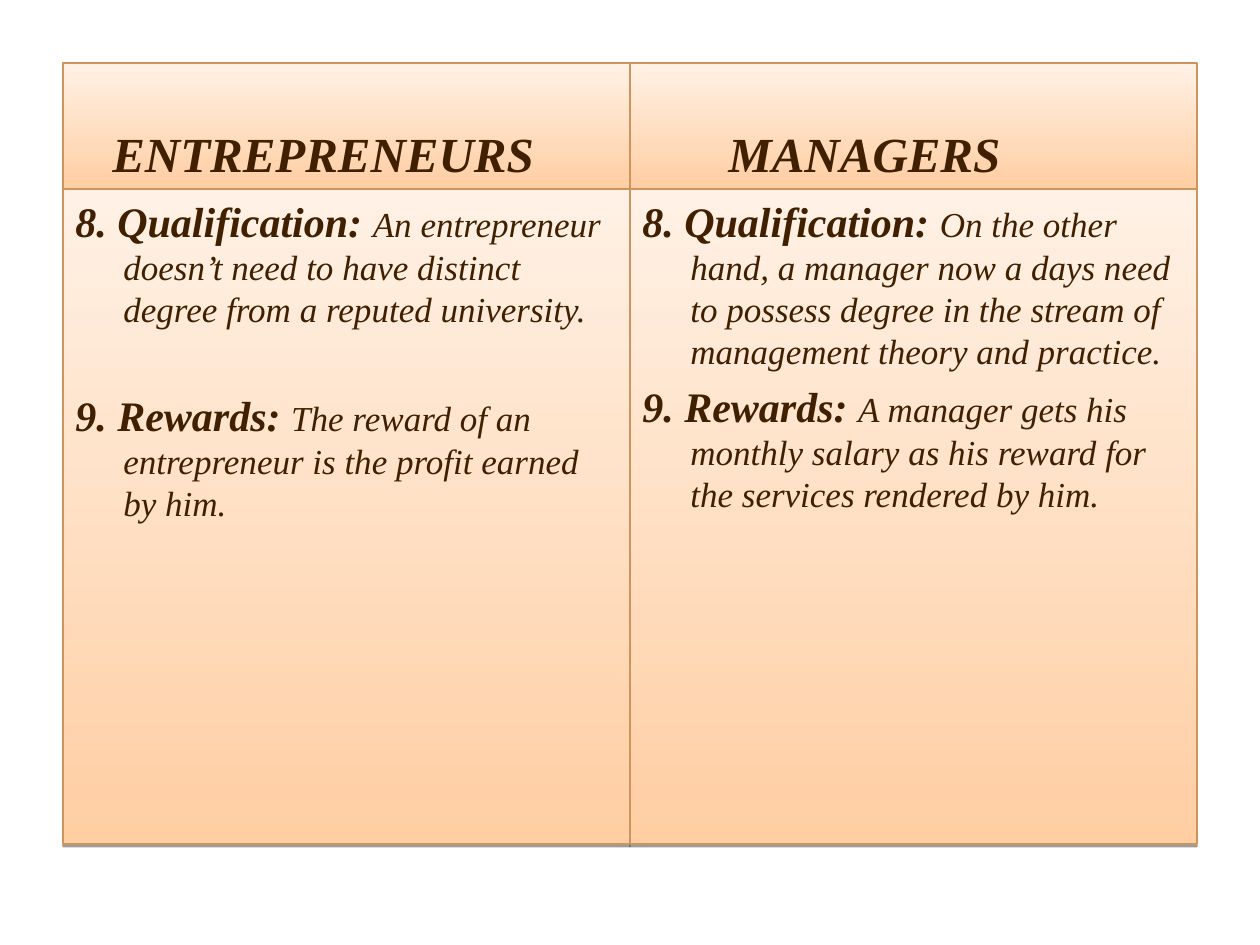
import lxml.etree
import pptx
import pptx.dml.color
import pptx.enum.shapes
import pptx.enum.text
import pptx.oxml.ns
import pptx.util

EMU_PER_PX = 914400 / 126
FONT = "Times New Roman"
COLORS = {
    "text": "402000",
    "border": "CC955F",
    "gradient_bottom": "FFCEA3",
    "gradient_top": "FFF1E5",
    "shadow": "000000",
}
COLUMN_WIDTH = 567
HEADER_HEIGHT = 126
HANGING_INDENT = 48
COLUMNS = [
    {
        "title": "ENTREPRENEURS",
        "title_indent": 37,
        "points": [
            ("8. Qualification: ", "An entrepreneur doesn’t need to have distinct "
             "degree from a reputed university.", 5),
            ("9. Rewards: ", "The reward of an entrepreneur is the profit earned by him.", 34),
        ],
    },
    {
        "title": "MANAGERS",
        "title_indent": 86,
        "points": [
            ("8. Qualification: ", "On the other hand, a manager now a days need to possess "
             "degree in the stream of management theory and practice.", 5),
            ("9. Rewards: ", "A manager gets his monthly salary as his reward for the "
             "services rendered by him.", 5),
        ],
    },
]


def px(length):
    return pptx.util.Emu(round(length * EMU_PER_PX))


def color(name):
    return pptx.dml.color.RGBColor.from_string(COLORS[name])


def add_shadow(shape):
    shape.shadow.inherit = False
    qn = pptx.oxml.ns.qn
    effects = shape._element.spPr.find(qn("a:effectLst"))
    shadow = lxml.etree.SubElement(
        effects, qn("a:outerShdw"), blurRad="0", dist="20000", dir="5400000", rotWithShape="0")
    shade = lxml.etree.SubElement(shadow, qn("a:srgbClr"), val=COLORS["shadow"])
    lxml.etree.SubElement(shade, qn("a:alpha"), val="38000")


def add_panel(slide, left, top, width, height, anchor):
    shape = slide.shapes.add_shape(
        pptx.enum.shapes.MSO_SHAPE.RECTANGLE, px(left), px(top), px(width), px(height))
    shape.fill.gradient()
    shape.fill.gradient_angle = 90
    for stop, position, name in zip(
            shape.fill.gradient_stops, (0, 1), ("gradient_bottom", "gradient_top")):
        stop.position = position
        stop.color.rgb = color(name)
    shape.line.color.rgb = color("border")
    shape.line.width = pptx.util.Pt(0.75)
    add_shadow(shape)
    shape.text_frame.word_wrap = True
    shape.text_frame.vertical_anchor = anchor
    return shape.text_frame


def format_paragraph(paragraph, space_before, margin, indent=0):
    paragraph.alignment = pptx.enum.text.PP_ALIGN.LEFT
    paragraph.space_before = pptx.util.Pt(space_before)
    paragraph.font.name = FONT
    paragraph.font.italic = True
    paragraph.font.color.rgb = color("text")
    properties = paragraph._p.get_or_add_pPr()
    properties.set("marL", str(px(margin)))
    properties.set("indent", str(px(indent)))


def add_header(slide, left, top, width, height, title, title_indent):
    frame = add_panel(slide, left, top, width, height, pptx.enum.text.MSO_ANCHOR.BOTTOM)
    paragraph = frame.paragraphs[0]
    paragraph.text = title
    format_paragraph(paragraph, 7, title_indent)
    paragraph.font.size = pptx.util.Pt(28)
    paragraph.font.bold = True


def add_points(slide, left, top, width, height, points):
    frame = add_panel(slide, left, top, width, height, pptx.enum.text.MSO_ANCHOR.TOP)
    for index, (label, description, space_before) in enumerate(points):
        paragraph = frame.add_paragraph() if index else frame.paragraphs[0]
        format_paragraph(paragraph, space_before, HANGING_INDENT, -HANGING_INDENT)
        for text, size, bold in ((label, 24, True), (description, 20, False)):
            run = paragraph.add_run()
            run.text = text
            run.font.size = pptx.util.Pt(size)
            run.font.bold = bold


def add_column(slide, left, top, width, height, column):
    add_header(slide, left, top, width, HEADER_HEIGHT, column["title"], column["title_indent"])
    add_points(slide, left, top + HEADER_HEIGHT, width, height - HEADER_HEIGHT, column["points"])


def main():
    presentation = pptx.Presentation()
    presentation.slide_width = px(1260)
    presentation.slide_height = px(945)
    slide = presentation.slides.add_slide(presentation.slide_layouts[6])
    for index, column in enumerate(COLUMNS):
        add_column(slide, 63 + index * COLUMN_WIDTH, 63, COLUMN_WIDTH, 781, column)
    presentation.save("out.pptx")


if __name__ == "__main__":
    main()
